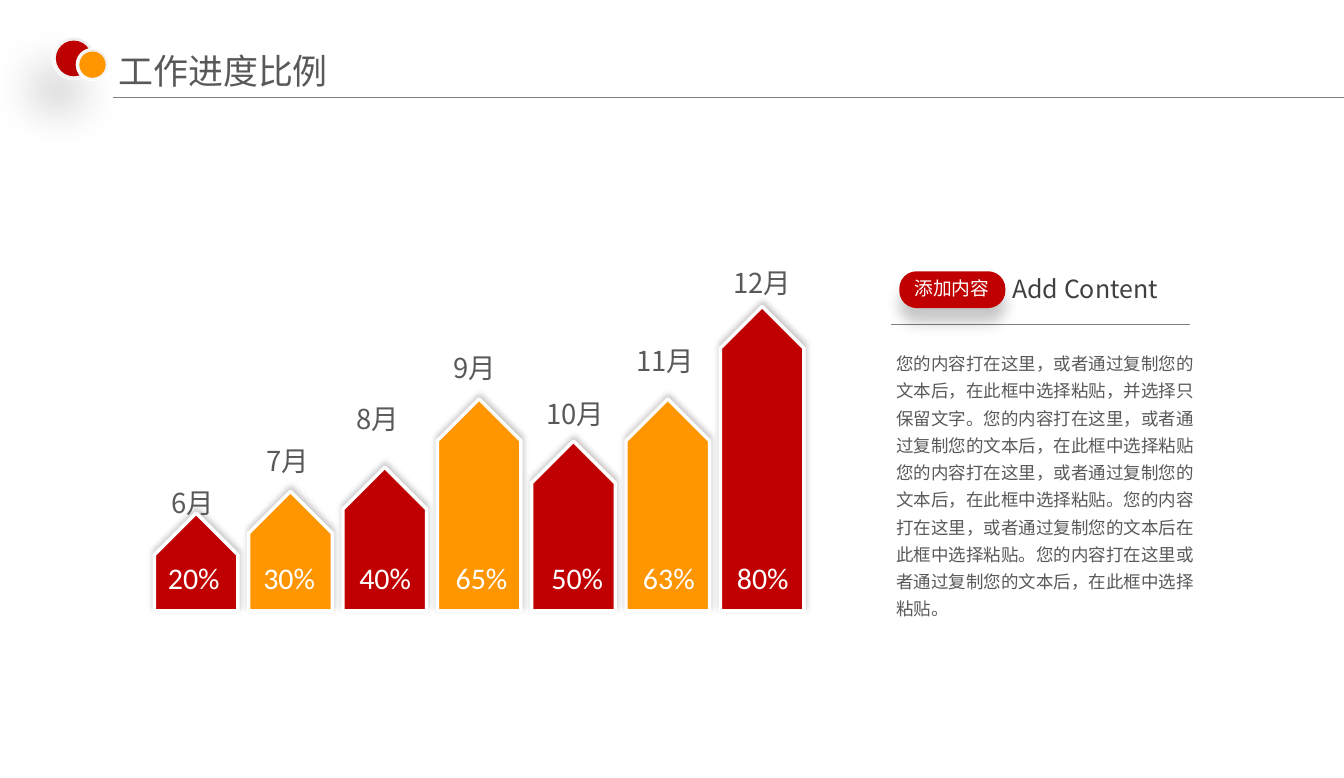
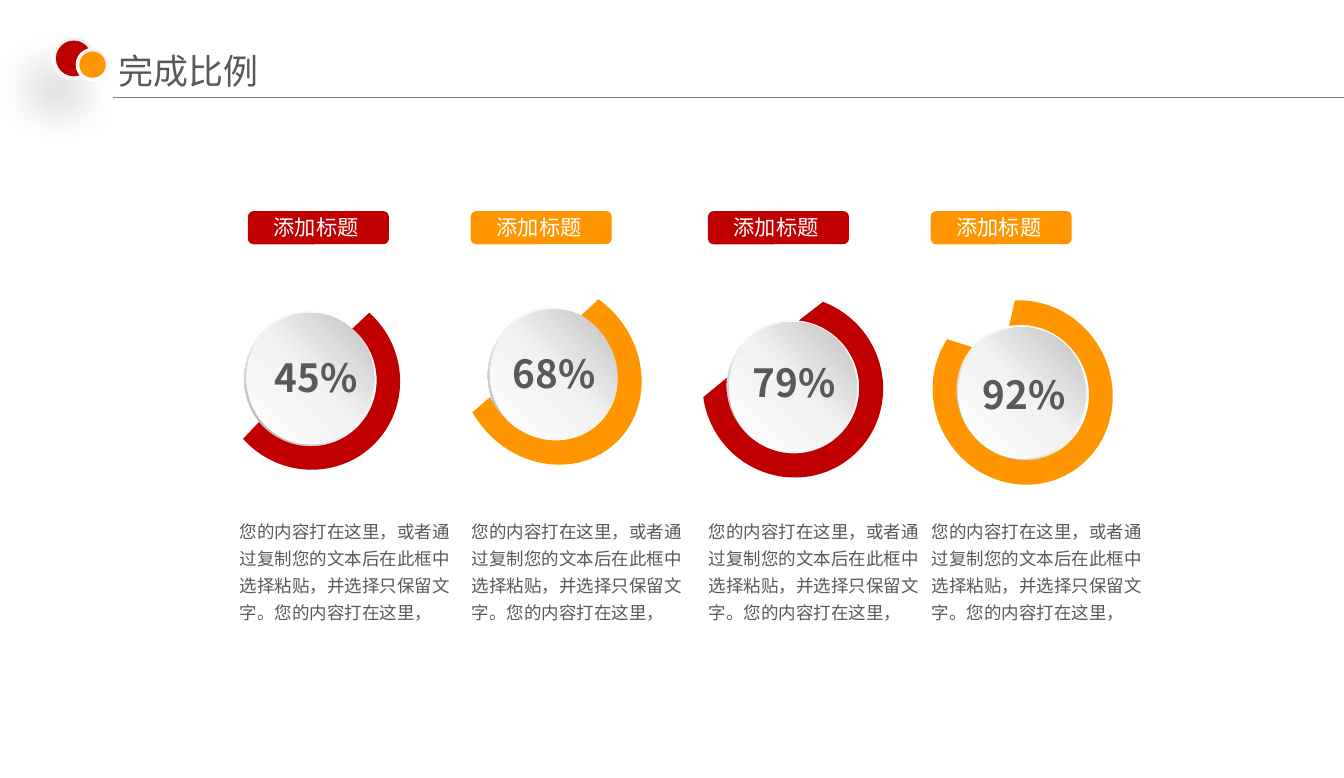
from math import cos, radians, sin, tan

from lxml import etree
from pptx import Presentation
from pptx.dml.color import RGBColor
from pptx.enum.shapes import MSO_CONNECTOR, MSO_SHAPE
from pptx.enum.text import MSO_ANCHOR, MSO_AUTO_SIZE, PP_ALIGN
from pptx.oxml.ns import qn
from pptx.util import Pt

RED = RGBColor(0xC0, 0x00, 0x00)
ORANGE = RGBColor(0xFF, 0x96, 0x00)
GRAY = RGBColor(0x59, 0x59, 0x59)
DARK = RGBColor(0x40, 0x40, 0x40)
RULE = RGBColor(0x80, 0x80, 0x80)
WHITE = RGBColor(0xFF, 0xFF, 0xFF)
PALE = RGBColor(0xEB, 0xEB, 0xEB)
NEAR_WHITE = RGBColor(0xFE, 0xFE, 0xFE)
LIGHT = RGBColor(0xF2, 0xF2, 0xF2)
SILVER = RGBColor(0xBF, 0xBF, 0xBF)
STEEL = RGBColor(0xA6, 0xA6, 0xA6)
FONT = "Noto Sans CJK SC"
STRAIGHT = MSO_CONNECTOR.STRAIGHT
OVAL = MSO_SHAPE.OVAL
DONUT = MSO_SHAPE.DONUT
ROUNDED = MSO_SHAPE.ROUNDED_RECTANGLE
BADGE = MSO_SHAPE.FLOWCHART_ALTERNATE_PROCESS
HOME_PLATE = MSO_SHAPE.PENTAGON
CENTER = PP_ALIGN.CENTER
MIDDLE = MSO_ANCHOR.MIDDLE
GROW = MSO_AUTO_SIZE.SHAPE_TO_FIT_TEXT
FIXED = MSO_AUTO_SIZE.NONE


def add_shape(s, kind, x, y, w, h, fill, border=0, shadow=None, angle=0):
    sp = s.shapes.add_shape(kind, Pt(x), Pt(y), Pt(w), Pt(h))
    if isinstance(fill, RGBColor):
        sp.fill.solid()
        sp.fill.fore_color.rgb = fill
    else:
        sp.fill.gradient()
        sp.fill.gradient_angle = 360 - angle
        stops = sp.element.spPr.find(qn("a:gradFill")).find(qn("a:gsLst"))
        for stop in list(stops):
            stops.remove(stop)
        for position, color in fill:
            stop = etree.SubElement(stops, qn("a:gs"), pos=str(position * 1000))
            etree.SubElement(stop, qn("a:srgbClr"), val=str(color))
    if border:
        sp.line.color.rgb = WHITE
        sp.line.width = Pt(border)
    else:
        sp.line.fill.background()
    sp.shadow.inherit = False
    if shadow:
        alpha, blur, distance, direction = shadow
        effects = sp.element.spPr.find(qn("a:effectLst"))
        outer = etree.SubElement(
            effects, qn("a:outerShdw"), blurRad=str(Pt(blur)), dist=str(Pt(distance)),
            dir=str(direction * 60000), algn="ctr", rotWithShape="0")
        color = etree.SubElement(outer, qn("a:srgbClr"), val="000000")
        etree.SubElement(color, qn("a:alpha"), val=str(alpha * 1000))
    return sp


def add_text(s, text, x, y, w, h, size, color=GRAY, inset=(7.2, 3.6), font=FONT, wrap=True):
    tf = s.shapes.add_textbox(Pt(x), Pt(y), Pt(w), Pt(h)).text_frame
    tf.word_wrap = wrap
    tf.auto_size = GROW
    tf.margin_left = tf.margin_right = Pt(inset[0])
    tf.margin_top = tf.margin_bottom = Pt(inset[1])
    tf.text = text
    r = tf.paragraphs[0].runs[0]
    r.font.size = Pt(size)
    r.font.name = font
    r.font.color.rgb = color
    etree.SubElement(r.font._element, qn("a:ea"), typeface=font)
    return tf


prs = Presentation()
prs.slide_width = Pt(1077.12)
prs.slide_height = Pt(623.52)

LOGO_GRADIENT = [(0, PALE), (100, NEAR_WHITE)]
LOGO_SHADOW = (15, 36, 30, 130)
rules = [("工作进度比例", [(90.7, 78.5, 1077, 0.75), (714.2, 260, 954, 0.5)]),
         ("完成比例", [(90.7, 78.5, 1077, 0.75)])]
for title, lines in rules:
    s = prs.slides.add_slide(prs.slide_layouts[6])
    for x1, y, x2, width in lines:
        c = s.shapes.add_connector(STRAIGHT, Pt(x1), Pt(y), Pt(x2), Pt(y))
        c.line.color.rgb = RULE
        c.line.width = Pt(width)
        etree.SubElement(c.element.spPr, qn("a:effectLst"))
    for x, y, d, rim, color in [(41.8, 29.5, 34.6, 3, RED), (61.2, 38.9, 25.9, 2.4, ORANGE)]:
        add_shape(s, OVAL, x, y, d, d, LOGO_GRADIENT, 1, LOGO_SHADOW, 126)
        add_shape(s, OVAL, x + rim, y + rim, d - 2 * rim, d - 2 * rim, color)
    tf = add_text(s, title, 85, 33.8, 374.4, 45.4, 28, inset=(10, 5))
    tf.auto_size = FIXED
    tf.vertical_anchor = MIDDLE

progress, completion = prs.slides

BAR_W, BAR_PITCH, BAR_X, BAR_BOTTOM = 67, 75.6, 157.2, 489.6
LABEL_INSET = (10.8, 5.6)
bars = [
    ("6月", 78.5, 126.4, 384.2, 70.6, "20%", 123.8),
    ("7月", 95.8, 203, 350.3, 70.6, "30%", 200.2),
    ("8月", 115.2, 275, 316.6, 70.6, "40%", 277.2),
    ("9月", 169.9, 352.8, 275.4, 70.6, "65%", 354.4),
    ("10月", 136.1, 427, 312.2, 84.2, "50%", 431.1),
    ("11月", 169.9, 499.3, 270.5, 77.8, "63%", 504.5),
    ("12月", 244.1, 576.7, 207.8, 82.8, "80%", 579.8),
]
for i, (month, length, month_x, month_y, month_w, percent, percent_x) in enumerate(bars):
    sp = add_shape(progress, HOME_PLATE, BAR_X + i * BAR_PITCH - length / 2,
                   BAR_BOTTOM - length / 2 - BAR_W / 2, length, BAR_W,
                   [RED, ORANGE][i % 2], 2.75, (22, 5, 3, 275))
    sp.rotation = 270
for month, length, month_x, month_y, month_w, percent, percent_x in bars:
    add_text(progress, month, month_x, month_y, month_w, 37.4, 22, inset=LABEL_INSET)
    add_text(progress, percent, percent_x, 442.5, 67, 41, 24, WHITE, LABEL_INSET, "Calibri")

BODY_INSET = (12.2, 6.3)
tf = add_text(
    progress,
    "您的内容打在这里，或者通过复制您的文本后，在此框中选择粘贴，并选择只保留文字。"
    "您的内容打在这里，或者通过复制您的文本后，在此框中选择粘贴"
    "您的内容打在这里，或者通过复制您的文本后，在此框中选择粘贴。"
    "您的内容打在这里，或者通过复制您的文本后在此框中选择粘贴。"
    "您的内容打在这里或者通过复制您的文本后，在此框中选择粘贴。",
    706.3, 271.8, 269.3, 231.1, 14, inset=BODY_INSET)
tf.paragraphs[0].line_spacing = 1.3
sp = add_shape(progress, ROUNDED, 720.7, 217.4, 85, 29.5, RED, shadow=(22, 12, 12, 90))
sp.adjustments[0] = 0.47
tf = add_text(progress, "添加内容", 725.4, 218.2, 74.9, 25.2, 15, WHITE, wrap=False)
tf.paragraphs[0].alignment = CENTER
add_text(progress, "Add Content", 804.2, 215.7, 170.6, 31.7, 20, DARK)

DONUT_GRADIENT = [(0, WHITE), (55, LIGHT), (100, STEEL)]
DISC_GRADIENT = [(0, WHITE), (51, LIGHT), (100, SILVER)]
dials = [
    ("45%", 195.8, 249.1, 213.1, 280.1, 180, 198.7,
     (272.5, 294), (71.6, 73.2, -3.2), (53.2, 54, -4.9), 315),
    ("68%", 391, 246.2, 403.9, 276.5, 365.8, 377.3,
     (460.8, 291.2), (69.8, 76.7, -13.7), (51.8, 56.3, -18.4), 318.1),
    ("79%", 582.5, 256.3, 596.2, 283.7, 555.8, 567.4,
     (646.2, 306.2), (71.8, 73.3, -31.4), (52.8, 53.8, -45.8), 321.5),
    ("92%", 766.1, 260.6, 780.5, 293.8, 734.4, 745.9,
     (821.5, 314.1), (71.3, 74.7, -64), (52.6, 54.7, -71), 330.2),
]
for i, (percent, x, y, percent_x, percent_y, body_x, badge_x,
        (cx, cy), outer, inner, rotation) in enumerate(dials):
    color = [RED, ORANGE][i % 2]
    sp = add_shape(completion, DONUT, x, y, 105.8, 108.7, DONUT_GRADIENT, angle=135)
    sp.adjustments[0] = 0.05
    add_shape(completion, OVAL, x + 1.8, y + 1.8, 102.2, 105.1, DISC_GRADIENT, angle=315)
    tf = add_text(completion, percent, percent_x, percent_y, 96.5, 46.1, 31)
    tf.paragraphs[0].runs[0].font.bold = True

    tf = add_text(completion,
                  "您的内容打在这里，或者通过复制您的文本后在此框中选择粘贴，"
                  "并选择只保留文字。您的内容打在这里，",
                  body_x, 406.1, 195.1, 98.6, 14, inset=BODY_INSET)
    tf.paragraphs[0].line_spacing = 1.3

    points = []
    for (rx, ry, start), order in [(outer, 1), (inner, -1)]:
        nodes = [radians(a) for a in (start, 0, 90, 180, 180 - start)][::order]
        points.append((cx + rx * cos(nodes[0]), cy + ry * sin(nodes[0])))
        for a, b in zip(nodes, nodes[1:]):
            k = 4 / 3 * tan((b - a) / 4)
            points += [
                (cx + rx * (cos(a) - k * sin(a)), cy + ry * (sin(a) + k * cos(a))),
                (cx + rx * (cos(b) + k * sin(b)), cy + ry * (sin(b) - k * cos(b))),
                (cx + rx * cos(b), cy + ry * sin(b)),
            ]
    points = [(Pt(px), Pt(py)) for px, py in points]
    builder = completion.shapes.build_freeform(*points[0])
    builder.add_line_segments(points[1:])
    ring = builder.convert_to_shape()
    segments = list(ring.element.spPr.iter(qn("a:lnTo")))
    for first in (0, 3, 6, 9, 13, 16, 19, 22):
        curve = etree.Element(qn("a:cubicBezTo"))
        segments[first].addprevious(curve)
        for segment in segments[first:first + 3]:
            curve.append(segment[0])
            segment.getparent().remove(segment)
    ring.rotation = rotation
    ring.fill.solid()
    ring.fill.fore_color.rgb = color
    ring.line.fill.background()
    ring.shadow.inherit = False

    add_shape(completion, BADGE, badge_x, 169.2, 113, 26.6, color)
    tf = add_text(completion, "添加标题", badge_x + 13, 167.8, 83.5, 28.1, 17, WHITE, wrap=False)
    tf.paragraphs[0].alignment = CENTER

prs.save("out.pptx")
